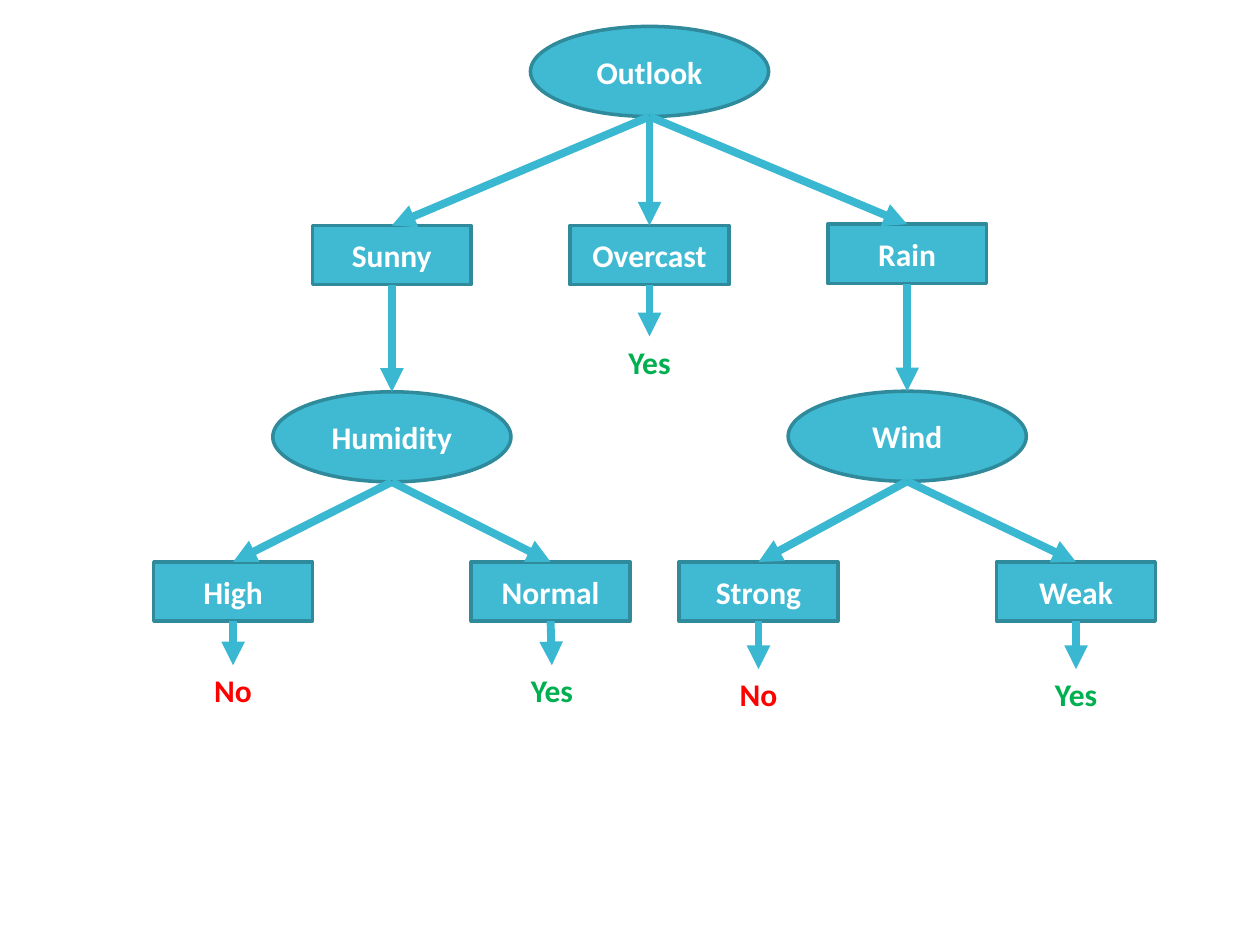
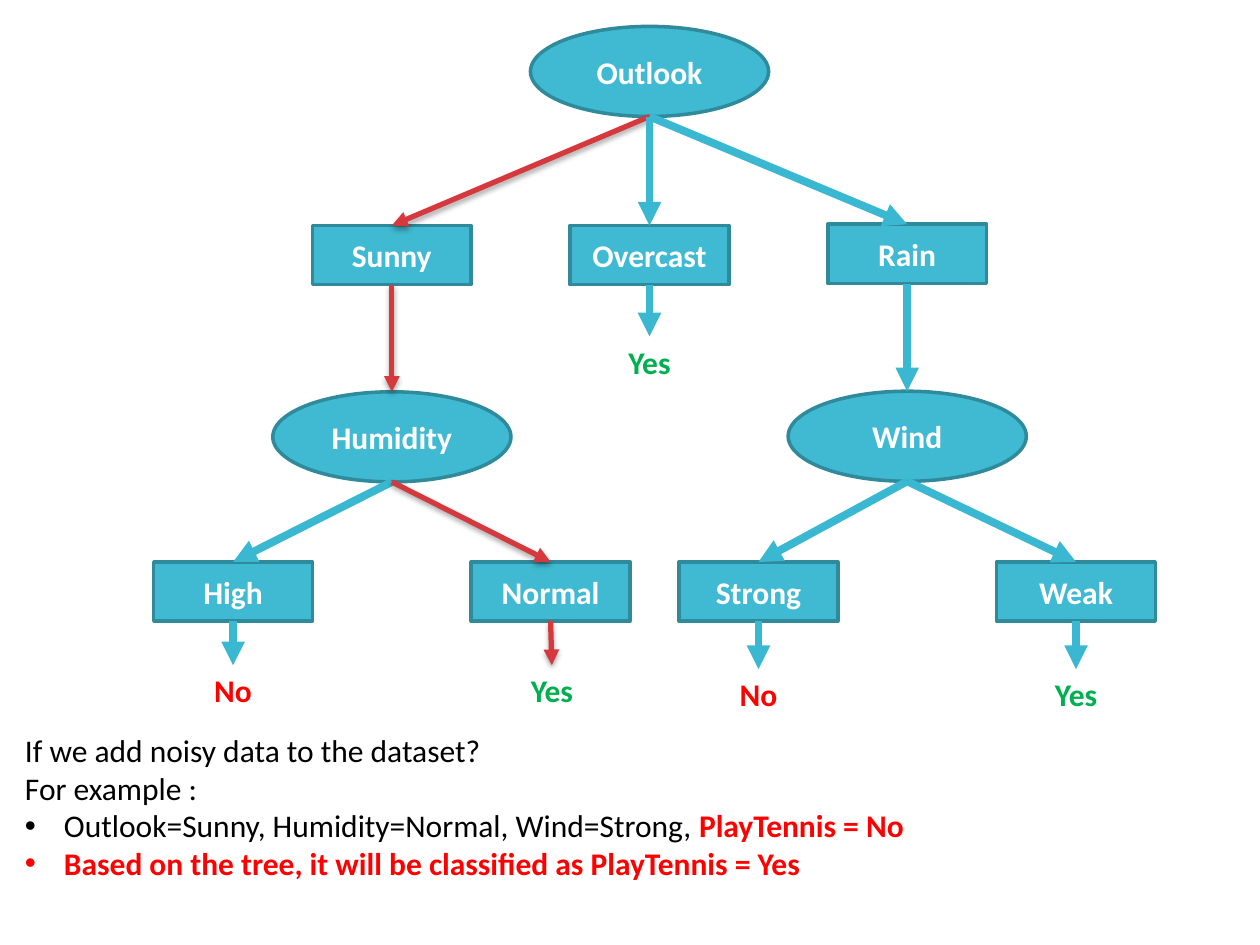
from dataclasses import dataclass
from lxml import etree
from pptx import Presentation, util as u
from pptx.dml.color import RGBColor
from pptx.enum import shapes as sh, text as tx
from pptx.oxml import parse_xml
from pptx.oxml.ns import nsdecls, qn

HUES = {"fill": "40BAD2", "edge": "2F8A9B", "link": "3BB8D1", "path": "D5393D",
        "no": "FF0000", "yes": "00B050", "white": "FFFFFF", "black": "000000"}
FONT = "Calibri"

# Grid: 100 columns by 75 rows of square cells
WIDE, HIGH = u.Inches(10), u.Inches(7.5)
COL, ROW = WIDE / 100, HIGH / 75
SIZES = {"oval": (18.9, 7.15), "box": (12.6, 4.7), "No": (5.3, 4), "Yes": (5.8, 4)}
MID, STEP, HALF = 51.55, 20.45, 12.6
LEFT, RIGHT = MID - STEP, MID + STEP
PAIR = RIGHT + 0.8
LEAF = 44.6


@dataclass(frozen=True)
class Node:
    name: str
    kind: str
    x: float  # centre column
    y: float  # top row
    kids: tuple = ()
    hot: bool = False  # on the marked path


@dataclass(frozen=True)
class Run:
    text: str
    hue: str = "black"
    bold: bool = False


def end(name: str, x: float, y: float, hot: bool = False) -> Node:
    return Node(name, name, x, y, hot=hot)


def box(name: str, x: float, y: float, *kids: Node, hot: bool = False) -> Node:
    return Node(name, "box", x, y, kids, hot)


def oval(name: str, x: float, y: float, *kids: Node, hot: bool = False) -> Node:
    return Node(name, "oval", x, y, kids, hot)


TREE = oval(
    "Outlook", MID, 2.1,
    box("Sunny", LEFT, 17.9,
        oval("Humidity", LEFT, 31.1,
             box("High", LEFT - HALF, LEAF, end("No", LEFT - HALF, 52.8)),
             box("Normal", LEFT + HALF, LEAF,
                 end("Yes", LEFT + HALF + 0.1, 52.8, hot=True), hot=True),
             hot=True),
        hot=True),
    box("Overcast", MID, 17.9, end("Yes", MID, 26.7)),
    box("Rain", RIGHT, 17.8,
        oval("Wind", RIGHT, 31.05,
             box("Strong", PAIR - HALF, LEAF, end("No", PAIR - HALF, 53.1)),
             box("Weak", PAIR + HALF, LEAF, end("Yes", PAIR + HALF, 53.1)))))

ALERT = {"hue": "no", "bold": True}
NOTE = [
    [Run("If we add noisy data to the dataset?")],
    [Run("For example :")],
    [Run("Outlook=Sunny, Humidity=Normal, Wind=Strong, "), Run("PlayTennis = No", **ALERT)],
    [Run("Based on the tree, it will be classified as PlayTennis = Yes", **ALERT)],
]


def rgb(hue: str) -> RGBColor:
    return RGBColor.from_string(HUES[hue])


def place(x: float, y: float, w: float, h: float) -> tuple:
    return tuple(round(v) for v in (x * COL, y * ROW, w * COL, h * ROW))


def write(frame, paras: list, *, align=tx.PP_ALIGN.LEFT, wrap: bool = True,
          grow: bool = False, mid: bool = False, dots: int = 0) -> None:
    """Fill a frame; the last `dots` paragraphs get bullets."""
    frame.word_wrap = wrap
    if grow:
        frame.auto_size = tx.MSO_AUTO_SIZE.SHAPE_TO_FIT_TEXT
    if mid:
        frame.vertical_anchor = tx.MSO_ANCHOR.MIDDLE
    for i, runs in enumerate(paras):
        para = frame.paragraphs[0] if i == 0 else frame.add_paragraph()
        para.alignment = align
        if i >= len(paras) - dots:
            props = para._p.get_or_add_pPr()
            props.set("marL", str(u.Inches(0.31)))
            props.set("indent", str(-u.Inches(0.31)))
            etree.SubElement(props, qn("a:buFont")).set("typeface", "Arial")
            etree.SubElement(props, qn("a:buChar")).set("char", "•")
        for part in runs:
            run = para.add_run()
            run.text = part.text
            font = run.font
            font.name, font.size, font.bold = FONT, u.Pt(18), part.bold
            font.color.rgb = rgb(part.hue)


def draw(slide, node: Node):
    """Draw one node as an oval, a box or a plain answer."""
    w, h = SIZES[node.kind]
    area = place(node.x - w / 2, node.y, w, h)
    if node.kind in ("No", "Yes"):
        item = slide.shapes.add_textbox(*area)
        write(item.text_frame, [[Run(node.name, node.kind.lower(), True)]],
              align=tx.PP_ALIGN.CENTER, wrap=False, grow=True)
        return item
    form = sh.MSO_SHAPE.OVAL if node.kind == "oval" else sh.MSO_SHAPE.RECTANGLE
    item = slide.shapes.add_shape(form, *area)
    item.shadow.inherit = False
    item.fill.solid()
    item.fill.fore_color.rgb = rgb("fill")
    item.line.color.rgb = rgb("edge")
    item.line.width = u.Pt(2)
    write(item.text_frame, [[Run(node.name, "white", True)]],
          align=tx.PP_ALIGN.CENTER, mid=True)
    return item


def link(slide, top, low, *, round_top: bool, hot: bool) -> None:
    """Arrow from the bottom of one item to the top of the next."""
    line = slide.shapes.add_connector(
        sh.MSO_CONNECTOR.STRAIGHT, top.left + top.width // 2, top.top + top.height,
        low.left + low.width // 2, low.top)
    if not round_top:
        line.begin_connect(top, 2)
    line.end_connect(low, 0)
    line.line.color.rgb = rgb("path" if hot else "link")
    line.line.width = u.Pt(3 if hot else 4.5)
    etree.SubElement(line.line._get_or_add_ln(), qn("a:tailEnd")).set("type", "triangle")
    shade = ('<a:outerShdw blurRad="40000" dist="23000" dir="5400000" rotWithShape="0">'
             '<a:srgbClr val="000000"><a:alpha val="35000"/></a:srgbClr></a:outerShdw>')
    line._element.spPr.append(parse_xml(
        f'<a:effectLst {nsdecls("a")}>{shade if hot else ""}</a:effectLst>'))


def grow(slide, node: Node, mark: bool):
    """Draw a node, then each branch below it."""
    item = draw(slide, node)
    for kid in node.kids:
        low = grow(slide, kid, mark)
        link(slide, item, low, round_top=node.kind == "oval", hot=mark and kid.hot)
    return item


def main() -> None:
    deck = Presentation()
    deck.slide_width, deck.slide_height = WIDE, HIGH
    blank = deck.slide_layouts[6]

    # Plain tree
    grow(deck.slides.add_slide(blank), TREE, mark=False)

    # Tree with the marked path and a note
    slide = deck.slides.add_slide(blank)
    grow(slide, TREE, mark=True)
    note = slide.shapes.add_textbox(*place(1, 57.5, 98, 13.1))
    write(note.text_frame, NOTE, grow=True, dots=2)

    deck.save("out.pptx")


if __name__ == "__main__":
    main()
